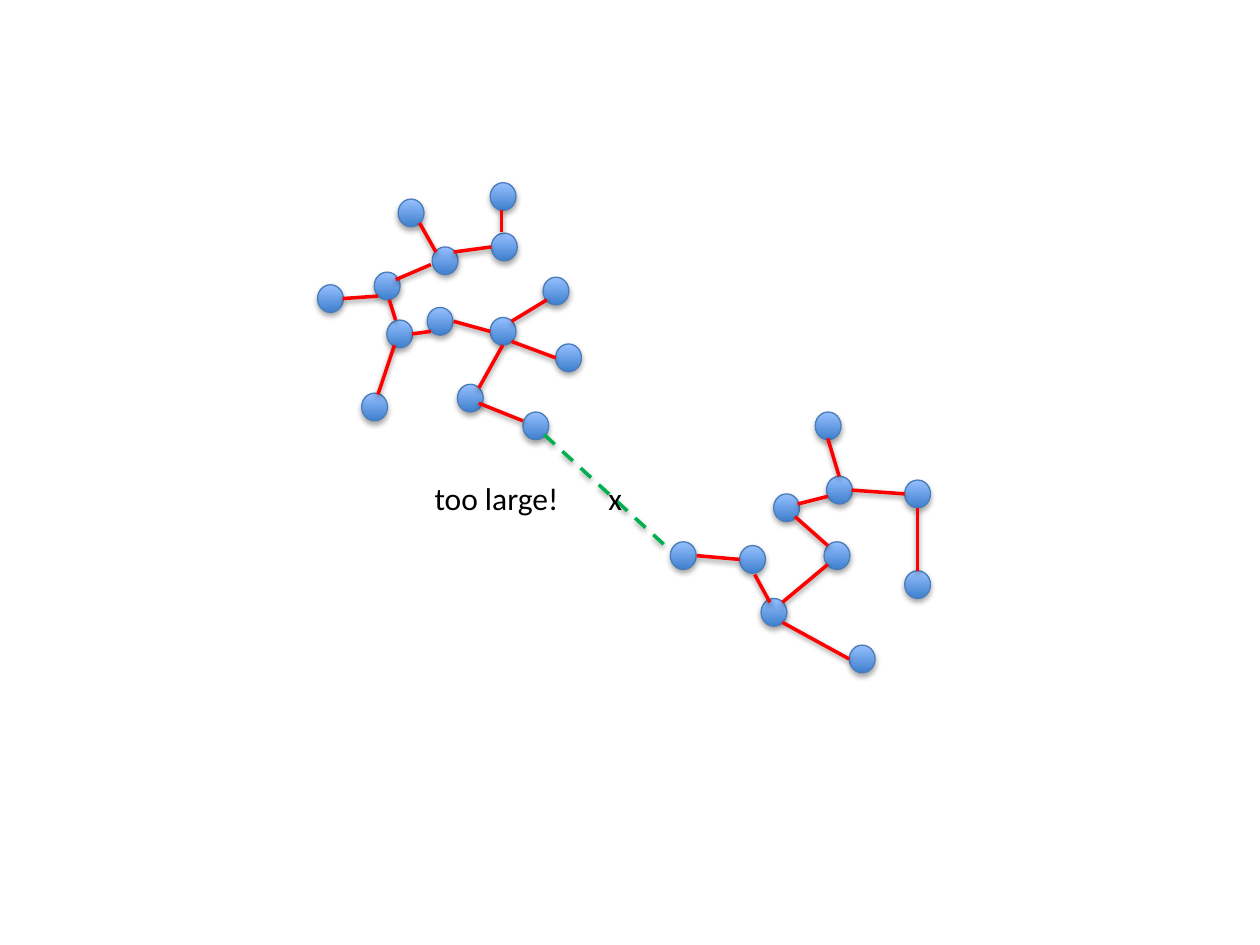
from lxml import etree
from pptx import Presentation
from pptx import util as u
from pptx.dml.color import RGBColor
from pptx.enum import dml, shapes, text
from pptx.oxml.ns import qn

HUES = {"low": "3E7FCD", "high": "96C0FF", "rim": "4A7DBA",
        "edge": "FF0000", "cut": "00B050", "ink": "000000"}
COLS, ROWS = 100, 75

# Left and top of each node, in columns and rows
LEFT = [(44.1, 27.3), (33.9, 24.4), (39, 18.5), (38.9, 14.5), (43.1, 22),
        (36.3, 30.5), (34.3, 19.6), (28.7, 31.2), (41.5, 32.7), (25.2, 22.6),
        (31.6, 15.8), (30.7, 25.4), (29.7, 21.6), (38.9, 25.2)]
RIGHT = [(65.6, 37.8), (71.8, 45.3), (61.4, 39.2), (64.7, 32.7), (65.4, 43),
         (58.7, 43.3), (67.4, 51.2), (71.8, 38.1), (53.2, 43), (60.4, 47.5)]

# Ends of each tree edge: x1, y1, x2, y2
TREE_L = [(30.9, 23.8, 31.4, 25.4), (39.8, 16.7, 39.8, 18.4),
          (32.7, 26.5, 34.2, 26.3), (33.3, 17.7, 34.6, 20),
          (27.2, 23.7, 30, 23.5), (36, 20, 39, 19.6),
          (31.4, 22.2, 34.2, 21), (36, 25.5, 38.9, 26.3),
          (40.6, 25.5, 43.4, 23.8), (38, 32, 41.5, 33.4),
          (40.6, 27.1, 44.1, 28.4), (30, 31.3, 31.3, 27.4),
          (38, 30.8, 39.9, 27.4)]
TREE_R = [(59.9, 45.6, 61.1, 47.8), (63.3, 40, 65.7, 39.4),
          (66.6, 37.8, 65.7, 34.8), (63.1, 41, 65.7, 43.3),
          (55.3, 44.1, 58.7, 44.4), (67.6, 38.9, 71.8, 39.2),
          (72.8, 40.3, 72.8, 45.3), (62.1, 47.8, 65.7, 44.8),
          (62.1, 49.4, 67.4, 52.3)]
LINK = (43.2, 34.5, 52.9, 43.4)


def rgb(name):
    return RGBColor.from_string(HUES[name])


def write(par, words, size=18, font="Calibri", hue="ink"):
    run = par.add_run()
    run.text = words
    run.font.size = u.Pt(size)
    run.font.name = font
    run.font.color.rgb = rgb(hue)


class Board:
    """Style and current slide; lengths are in grid columns and rows."""

    def __init__(self, deck):
        self.slide = deck.slides.add_slide(deck.slide_layouts[6])
        self.col = deck.slide_width / COLS
        self.row = deck.slide_height / ROWS

    def grid(self, x, y):
        return round(x * self.col), round(y * self.row)

    def node(self, x, y):
        # The theme's soft shadow is kept on nodes and edges
        dot = self.slide.shapes.add_shape(
            shapes.MSO_SHAPE.OVAL, *self.grid(x, y), *self.grid(2.05, 2.2))
        dot.fill.gradient()
        dot.fill.gradient_angle = 90
        for stop, hue in zip(dot.fill.gradient_stops, ("low", "high")):
            stop.color.rgb = rgb(hue)
        dot.line.color.rgb = rgb("rim")
        dot.line.width = u.Pt(0.75)

    def edge(self, x1, y1, x2, y2, hue="edge", dash=None):
        bar = self.slide.shapes.add_connector(
            shapes.MSO_CONNECTOR.STRAIGHT,
            *self.grid(x1, y1), *self.grid(x2, y2))
        bar.line.color.rgb = rgb(hue)
        bar.line.width = u.Pt(2)
        if dash:
            bar.line.dash_style = dash

    def label(self, x, y, wide, high, words, tab):
        box = self.slide.shapes.add_textbox(
            *self.grid(x, y), *self.grid(wide, high))
        frame = box.text_frame
        frame.word_wrap = True
        frame.vertical_anchor = text.MSO_ANCHOR.TOP
        par = frame.paragraphs[0]
        par.alignment = text.PP_ALIGN.LEFT
        write(par, words)
        # Tab stop that sets the mark on the dashed link
        stops = etree.SubElement(par._p.get_or_add_pPr(), qn("a:tabLst"))
        etree.SubElement(stops, qn("a:tab"),
                         pos=str(round(tab * self.col)), algn="l")


def main():
    deck = Presentation()
    deck.slide_width, deck.slide_height = u.Inches(10), u.Inches(7.5)
    board = Board(deck)

    # Nodes of both clusters
    for spot in LEFT + RIGHT:
        board.node(*spot)

    # Tree edges, then the rejected link
    for ends in TREE_L + TREE_R:
        board.edge(*ends)
    board.edge(*LINK, hue="cut", dash=dml.MSO_LINE.DASH)

    # Remark and cross mark
    board.label(33.5, 37.5, 17.1, 4, "too large!\tx", tab=13.8)

    deck.save("out.pptx")


if __name__ == "__main__":
    main()
